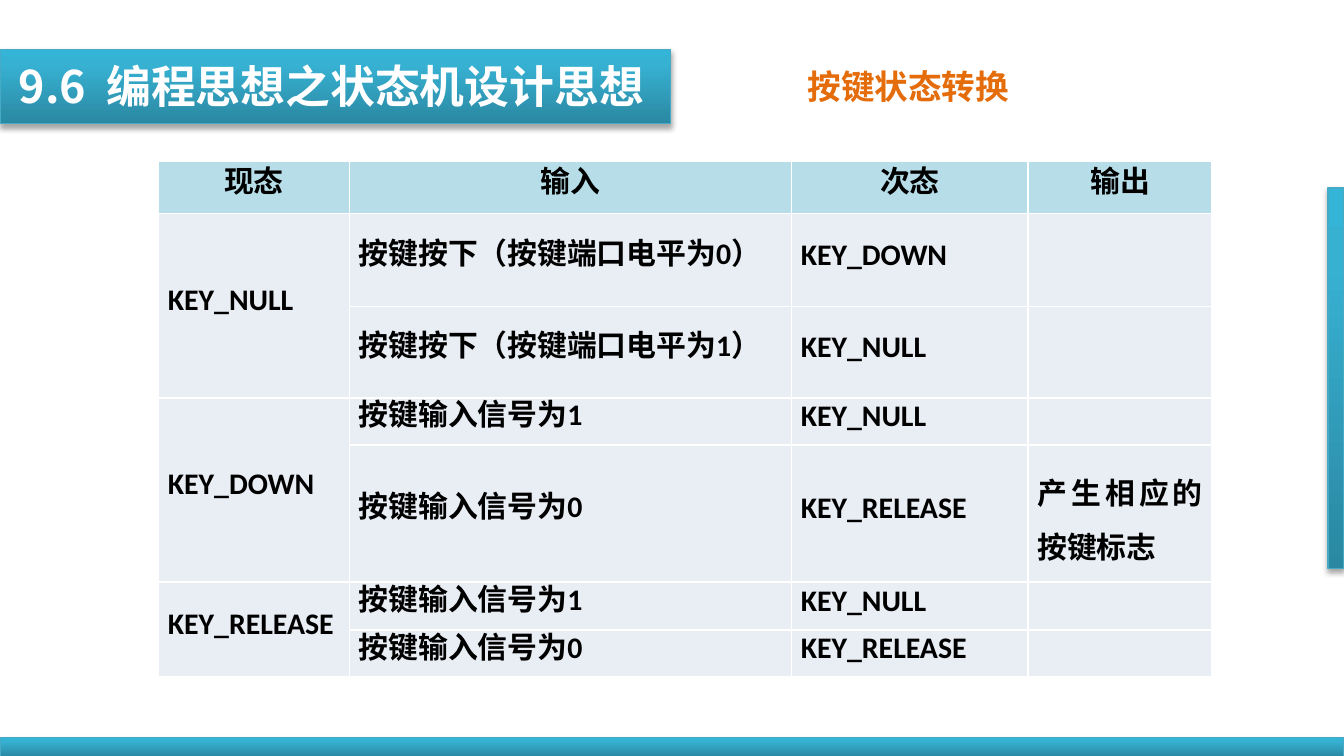
from lxml import etree
from pptx import Presentation
from pptx.dml.color import RGBColor
from pptx.enum.shapes import MSO_SHAPE
from pptx.enum.text import MSO_ANCHOR, MSO_AUTO_SIZE, PP_ALIGN
from pptx.oxml import parse_xml
from pptx.oxml.ns import qn
from pptx.util import Inches, Pt

RECTANGLE = MSO_SHAPE.RECTANGLE
MIDDLE = MSO_ANCHOR.MIDDLE
FIT_SHAPE = MSO_AUTO_SIZE.SHAPE_TO_FIT_TEXT
CENTER, JUSTIFY = PP_ALIGN.CENTER, PP_ALIGN.JUSTIFY
NAMESPACE = 'xmlns:a="http://schemas.openxmlformats.org/drawingml/2006/main"'
CHINESE_FONT = "Noto Sans CJK SC"


def color(value):
    return RGBColor.from_string(value)


def style_runs(paragraph, size, font_name, font_color):
    for run in paragraph.runs:
        run.font.size = Pt(size)
        run.font.bold = True
        run.font.name = font_name
        run.font.color.rgb = color(font_color)
        east_asian = etree.SubElement(run.font._element, qn("a:ea"))
        east_asian.set("typeface", CHINESE_FONT)


# Widescreen 16:9
presentation = Presentation()
presentation.slide_width = Inches(10)
presentation.slide_height = Inches(10 * 9 / 16)
slide = presentation.slides.add_slide(presentation.slide_layouts[6])

# Teal bars: footer, right edge, title banner
gradient_stops = [(0, "2A88A2"), (80, "37B1D2"), (100, "34B4D6")]
bars = [(0, 5.49, 10, 0.14), (9.88, 1.4, 0.12, 2.83), (0, 0.37, 4.99, 0.55)]
for bar in bars:
    shape = slide.shapes.add_shape(RECTANGLE, *map(Inches, bar))
    shape.fill.gradient()
    shape.fill.gradient_angle = 90
    stop_list = shape._element.spPr.find(".//" + qn("a:gsLst"))
    stop_list.clear()
    for position, stop_color in gradient_stops:
        stop_list.append(parse_xml(
            f'<a:gs {NAMESPACE} pos="{position * 1000}"><a:srgbClr val="{stop_color}"/></a:gs>'))
    shape.line.color.rgb = color("46AAC5")
    shape.line.width = Pt(0.75)
    shape.shadow.inherit = False
    shape._element.spPr.find(qn("a:effectLst")).append(parse_xml(
        f'<a:outerShdw {NAMESPACE} blurRad="{Pt(3.1)}" dist="{Pt(1.8)}" dir="5400000" rotWithShape="0">'
        '<a:srgbClr val="000000"><a:alpha val="35000"/></a:srgbClr></a:outerShdw>'))

# Title and subtitle
headings = [
    ((0.04, 0.39, 4.95, 0.5), "9.6  编程思想之状态机设计思想", 24, CHINESE_FONT, "FFFFFF"),
    ((5.91, 0.44, 1.72, 0.4), "按键状态转换", 18, "Calibri", "E46C0A"),
]
for box, text, size, font_name, font_color in headings:
    text_frame = slide.shapes.add_textbox(*map(Inches, box)).text_frame
    text_frame.word_wrap = False
    text_frame.auto_size = FIT_SHAPE
    text_frame.text = text
    style_runs(text_frame.paragraphs[0], size, font_name, font_color)

# State transition table
rows = [
    ("现态", "输入", "次态", "输出"),
    ("KEY_NULL", "按键按下（按键端口电平为0）", "KEY_DOWN", ""),
    ("", "按键按下（按键端口电平为1）", "KEY_NULL", ""),
    ("KEY_DOWN", "按键输入信号为1", "KEY_NULL", ""),
    ("", "按键输入信号为0", "KEY_RELEASE", "产生相应的按键标志"),
    ("KEY_RELEASE", "按键输入信号为1", "KEY_NULL", ""),
    ("", "按键输入信号为0", "KEY_RELEASE", ""),
]
column_widths = [1.42, 3.29, 1.76, 1.37]
row_heights = [0.39, 0.69, 0.68, 0.35, 1.02, 0.36, 0.35]
table = slide.shapes.add_table(
    len(rows), len(column_widths), Inches(1.18), Inches(1.2), Inches(7.84), Inches(3.85)).table
for column, width in zip(table.columns, column_widths):
    column.width = Inches(width)
for row, height in zip(table.rows, row_heights):
    row.height = Inches(height)
for first_row in (1, 3, 5):
    table.cell(first_row, 0).merge(table.cell(first_row + 1, 0))

for row_index, texts in enumerate(rows):
    is_header = row_index == 0
    for column_index, text in enumerate(texts):
        cell = table.cell(row_index, column_index)
        cell.fill.solid()
        cell.fill.fore_color.rgb = color("B7DEE8" if is_header else "E9EDF4")
        cell.vertical_anchor = MIDDLE
        cell.margin_left = cell.margin_right = Inches(0.07)
        cell.margin_top = cell.margin_bottom = 0
        for index, side in enumerate(("lnL", "lnR", "lnT", "lnB")):
            cell._tc.tcPr.insert(index, parse_xml(
                f'<a:{side} {NAMESPACE} w="{Pt(1)}"><a:solidFill><a:srgbClr val="FFFFFF"/>'
                f'</a:solidFill></a:{side}>'))
        paragraph = cell.text_frame.paragraphs[0]
        paragraph.alignment = CENTER if is_header else JUSTIFY
        is_wrapped = column_index == 3 and not is_header
        paragraph.line_spacing = 1.25 if is_wrapped else Pt(14)
        if text:
            paragraph.text = text
            style_runs(paragraph, 16, "Calibri", "000000")

presentation.save("out.pptx")
